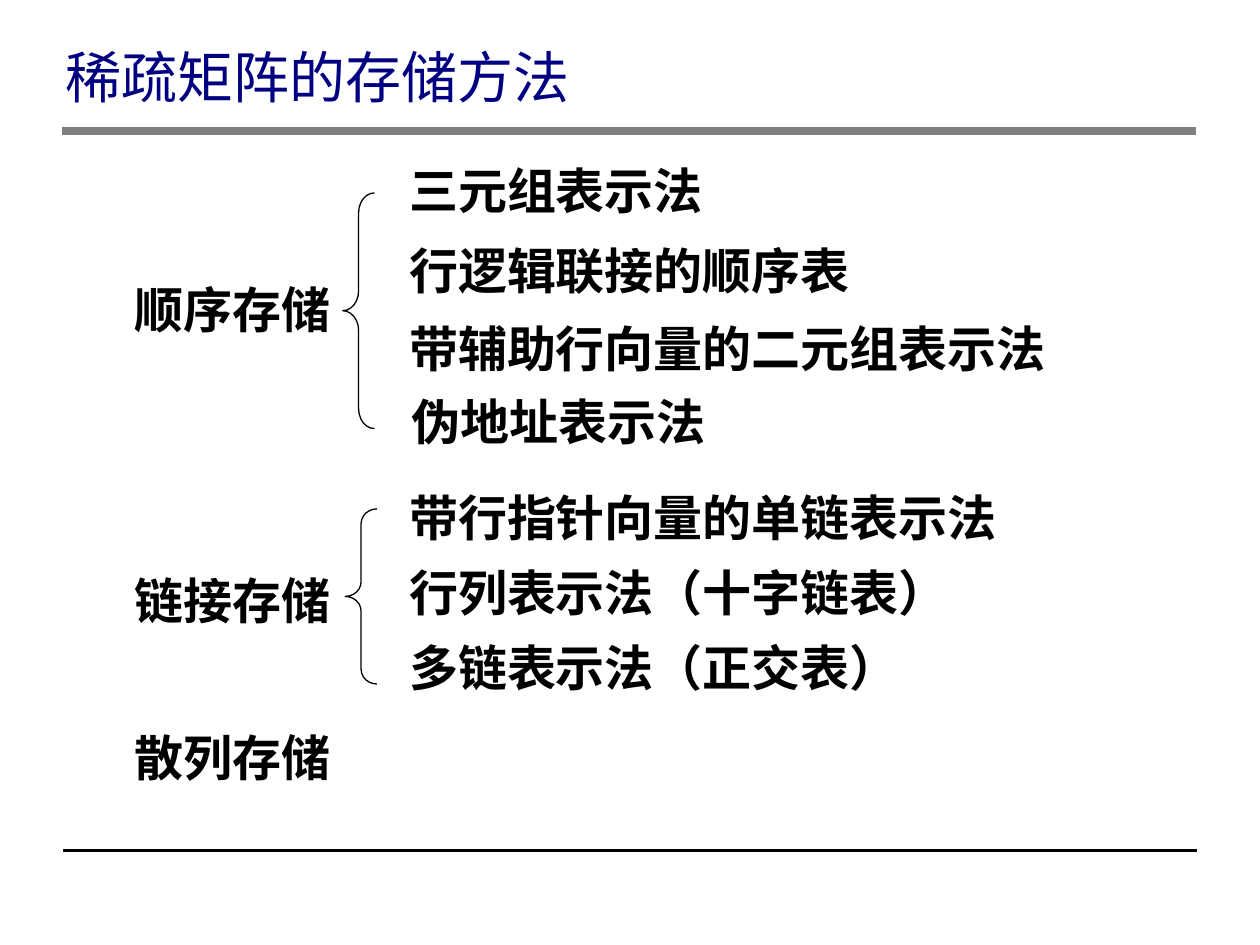
from pptx import Presentation
from pptx.dml.color import RGBColor
from pptx.enum import shapes as sh, text as tx
from pptx.oxml.ns import qn
from pptx.util import Cm, Pt
from lxml import etree

FONT = "Noto Sans CJK SC"
ROW = 1.45
# name, its top, brace (left, top, height, curve), methods (left, top, width, text)
KINDS = [
    ("顺序存储", 5.51, (6.91, 3.89, 4.75, 0.623), [
        (8, 3.12, 6.55, "三元组表示法"),
        (8, 4.72, 9.4, "行逻辑联接的顺序表"),
        (8, 6.3, 13.97, "带辅助行向量的二元组表示法"),
        (8.05, 7.77, 6.55, "伪地址表示法"),
    ]),
    ("链接存储", 11.38, (6.96, 10.26, 3.53, 0.464), [
        (8, 9.7, 13.77, "带行指针向量的单链表示法"),
        (8, 11.22, 13.77, "行列表示法（十字链表）"),
        (8, 12.73, 13.77, "多链表示法（正交表）"),
    ]),
    ("散列存储", 14.55, None, []),
]


def color(code):
    return RGBColor.from_string(code)


def style(par, size, code, bold):
    """Format the runs, with the font set for Chinese text as well."""
    par.alignment = tx.PP_ALIGN.LEFT
    for run in par.runs:
        font = run.font
        font.size, font.bold, font.name = Pt(size), bold, FONT
        font.color.rgb = color(code)
        etree.SubElement(font._element, qn("a:ea"), typeface=FONT)


def add_title(slide, words):
    title = slide.shapes.title
    title.left, title.top = Cm(1.07), Cm(0.74)
    title.width, title.height = Cm(12.5), Cm(1.52)
    frame = title.text_frame
    frame.text = words
    frame.auto_size = tx.MSO_AUTO_SIZE.NONE
    frame.vertical_anchor = tx.MSO_ANCHOR.MIDDLE
    par = frame.paragraphs[0]
    par.line_spacing = Pt(40)
    style(par, 32, "000080", False)


def add_label(slide, x, y, width, words):
    box = slide.shapes.add_textbox(Cm(x), Cm(y), Cm(width), Cm(ROW))
    frame = box.text_frame
    frame.text = words
    frame.word_wrap = True
    frame.auto_size = tx.MSO_AUTO_SIZE.SHAPE_TO_FIT_TEXT
    style(frame.paragraphs[0], 28, "000000", True)


def add_brace(slide, x, y, height, curve):
    brace = slide.shapes.add_shape(
        sh.MSO_SHAPE.LEFT_BRACE, Cm(x), Cm(y), Cm(0.64), Cm(height))
    brace.adjustments[0] = curve
    brace.shadow.inherit = False
    brace.fill.background()
    brace.line.color.rgb = color("000000")
    brace.line.width = Pt(0.75)


def add_rule(slide, x, y, width, code):
    rule = slide.shapes.add_connector(
        sh.MSO_CONNECTOR.STRAIGHT, Cm(x), Cm(y), Cm(x + 22.86), Cm(y))
    rule.line.color.rgb = color(code)
    rule.line.width = Pt(width)
    etree.SubElement(rule._element.spPr, qn("a:effectLst"))


def main():
    deck = Presentation()
    deck.slide_width, deck.slide_height = Cm(25.4), Cm(19.05)
    slide = deck.slides.add_slide(deck.slide_layouts[5])
    add_rule(slide, 1.27, 17.15, 2, "000000")
    add_rule(slide, 1.24, 2.64, 5, "808080")
    add_title(slide, "稀疏矩阵的存储方法")
    for name, top, brace, methods in KINDS:
        add_label(slide, 2.46, top, 4.65, name)
        if brace:
            add_brace(slide, *brace)
        for method in methods:
            add_label(slide, *method)
    deck.save("out.pptx")


if __name__ == "__main__":
    main()
